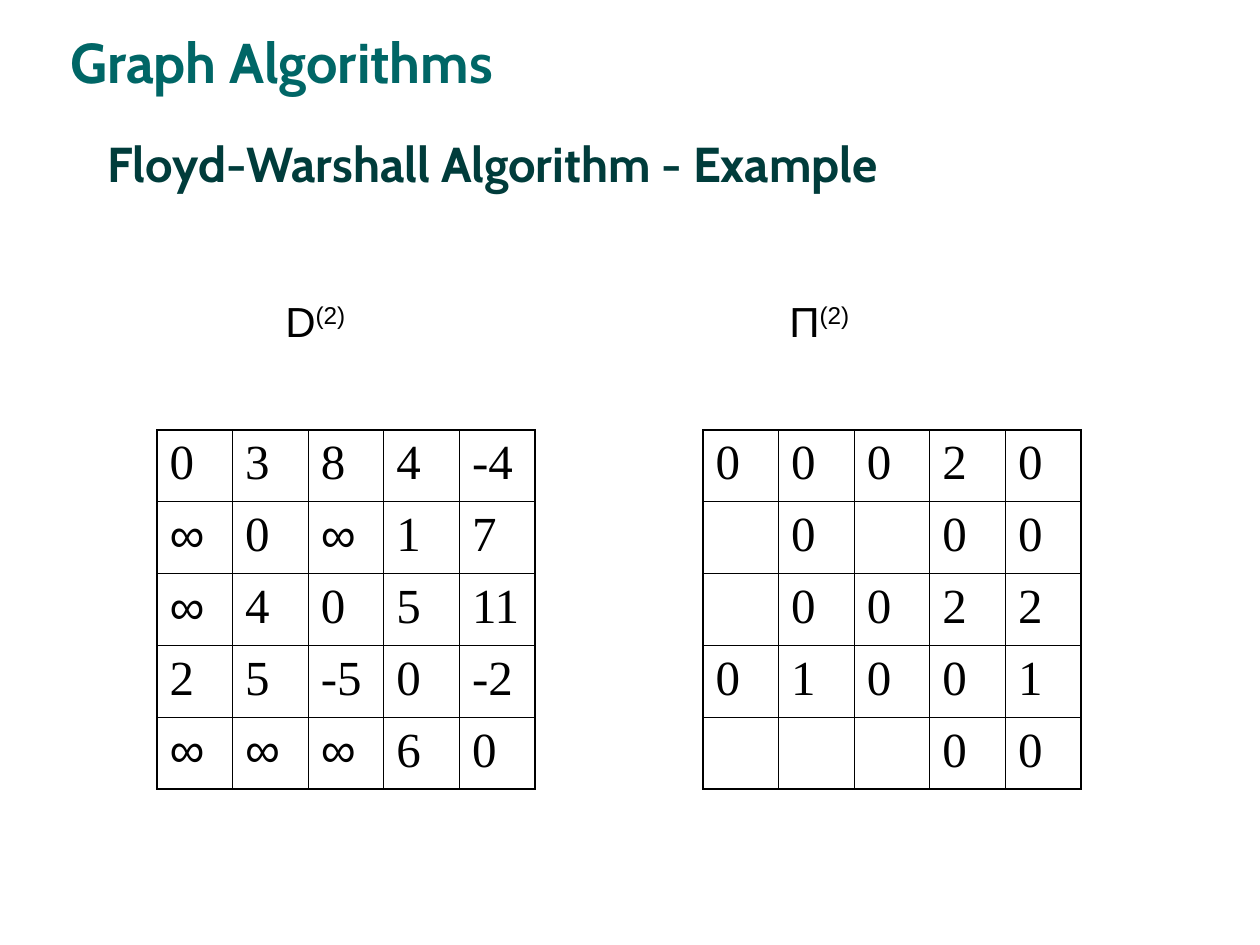
from dataclasses import dataclass

from lxml.etree import SubElement
from pptx import Presentation
from pptx.dml.color import RGBColor
from pptx.enum.text import MSO_ANCHOR as Anchor
from pptx.oxml.ns import qn
from pptx.util import Emu, Pt

PX_PER_INCH = 126


def px(length):
    return Emu(round(length * 914400 / PX_PER_INCH))


@dataclass(frozen=True)
class Theme:
    course: str = "006666"
    title: str = "003C3B"
    ink: str = "000000"
    heading_font: str = "Cabin"
    label_font: str = "Arial"
    number_font: str = "Times New Roman"
    course_size: int = 32
    title_size: int = 28
    label_size: int = 24
    cell_size: int = 28
    inner_line: float = 0.45
    outer_line: float = 1.08


def write(paragraph, text, font, size, color, bold=False, superscript=False):
    """Add one formatted run to a paragraph."""
    run = paragraph.add_run()
    run.text = text
    run.font.name = font
    run.font.size = Pt(size)
    run.font.bold = bold
    run.font.color.rgb = RGBColor.from_string(color)
    if superscript:
        run._r.get_or_add_rPr().set("baseline", "30000")


class SlideBuilder:
    def __init__(self, slide, theme):
        self.slide = slide
        self.theme = theme

    def text_area(self, left, top, width, height, anchor=Anchor.TOP):
        """Add a text box and return its first paragraph."""
        box = self.slide.shapes.add_textbox(px(left), px(top), px(width), px(height))
        box.text_frame.word_wrap = True
        box.text_frame.vertical_anchor = anchor
        return box.text_frame.paragraphs[0]

    def heading(self, text, area, size, color, anchor=Anchor.TOP):
        write(self.text_area(*area, anchor=anchor), text,
              self.theme.heading_font, size, color, bold=True)

    def matrix_labels(self, area, symbols, step, tab_stops):
        """Write each symbol with its step as superscript, one per tab stop."""
        line = self.text_area(*area)
        tabs = SubElement(line._p.get_or_add_pPr(), qn("a:tabLst"))
        for stop in tab_stops:
            SubElement(tabs, qn("a:tab"), pos=str(px(stop)), algn="l")
        style = (self.theme.label_font, self.theme.label_size, self.theme.ink)
        for symbol in symbols:
            write(line, "\t" + symbol, *style)
            write(line, f"({step})", *style, superscript=True)

    def border(self, cell, side, width):
        line = SubElement(cell._tc.get_or_add_tcPr(), qn(f"a:ln{side}"), w=str(Pt(width)))
        fill = SubElement(line, qn("a:solidFill"))
        SubElement(fill, qn("a:srgbClr"), val=self.theme.ink)

    def matrix(self, values, left, top, width, height):
        theme = self.theme
        last = len(values) - 1
        table = self.slide.shapes.add_table(
            len(values), len(values), px(left), px(top), px(width), px(height)).table
        table.first_row = table.horz_banding = False
        for r, row in enumerate(values):
            for c, value in enumerate(row):
                cell = table.cell(r, c)
                outer = {"L": c == 0, "R": c == last, "T": r == 0, "B": r == last}
                for side, is_outer in outer.items():
                    self.border(cell, side, theme.outer_line if is_outer else theme.inner_line)
                cell.fill.background()
                if value:
                    font = theme.label_font if value == "∞" else theme.number_font
                    write(cell.text_frame.paragraphs[0], value, font, theme.cell_size, theme.ink)


DISTANCES = [
    ["0", "3", "8", "4", "-4"],
    ["∞", "0", "∞", "1", "7"],
    ["∞", "4", "0", "5", "11"],
    ["2", "5", "-5", "0", "-2"],
    ["∞", "∞", "∞", "6", "0"],
]
PREDECESSORS = [
    ["0", "0", "0", "2", "0"],
    ["", "0", "", "0", "0"],
    ["", "0", "0", "2", "2"],
    ["0", "1", "0", "0", "1"],
    ["", "", "", "0", "0"],
]


def main():
    deck = Presentation()
    deck.slide_width, deck.slide_height = px(1260), px(945)
    theme = Theme()
    builder = SlideBuilder(deck.slides.add_slide(deck.slide_layouts[6]), theme)

    # Course name and slide title
    builder.heading("Graph Algorithms", (58, 21, 524, 81), theme.course_size, theme.course)
    builder.heading("Floyd-Warshall Algorithm - Example", (95, 84, 1165, 158),
                    theme.title_size, theme.title, Anchor.MIDDLE)

    # Distance and predecessor matrices
    for values, left in ((DISTANCES, 157), (PREDECESSORS, 703)):
        builder.matrix(values, left, top=430, width=378, height=359)

    # Matrix names
    builder.matrix_labels((147, 289, 718, 63), ("D", "Π"), step=2, tab_stops=(126, 630))

    deck.save("out.pptx")


if __name__ == "__main__":
    main()
